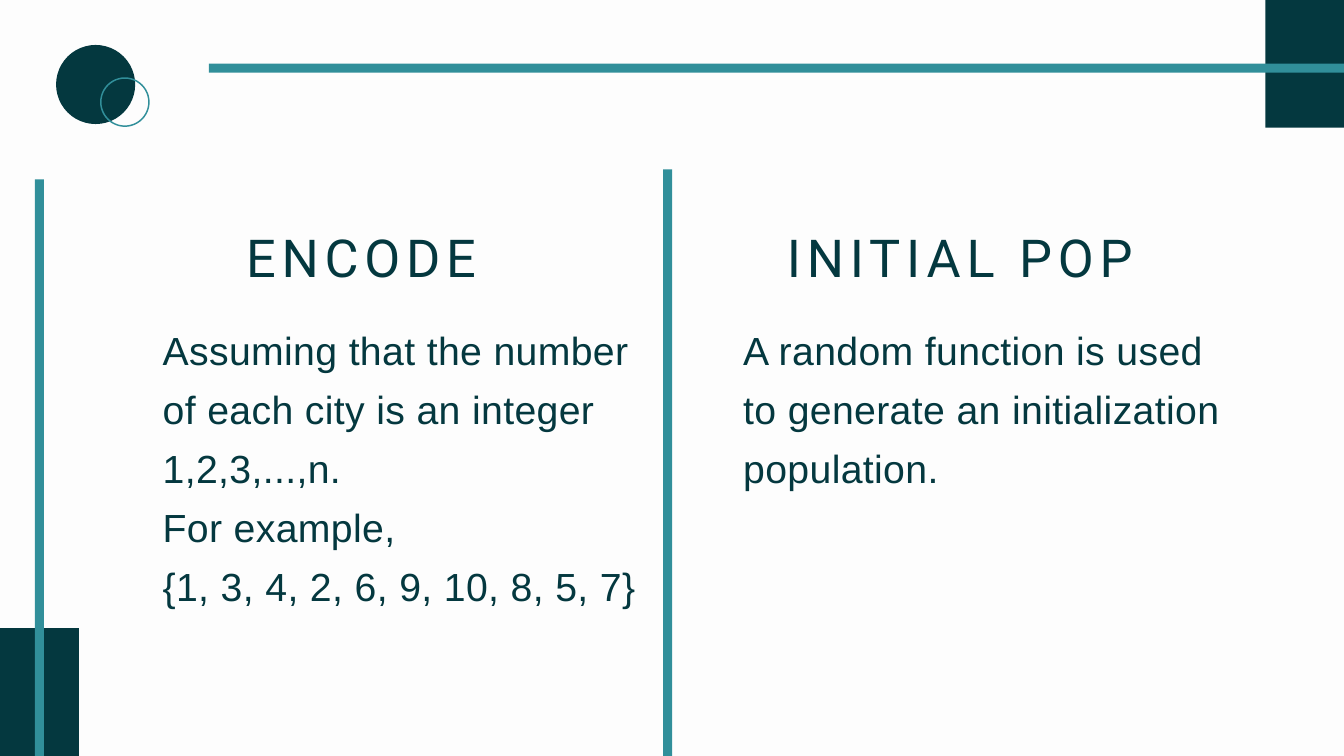
from pptx import Presentation
from pptx.dml.color import RGBColor
from pptx.enum.shapes import MSO_SHAPE
from pptx.enum.text import MSO_AUTO_SIZE, PP_ALIGN
from pptx.util import Cm, Pt

COLORS = {"paper": "FDFDFD", "dark": "04383F", "teal": "318F9A"}
BAR = 0.34
TITLE = {
    "paragraph": {"alignment": PP_ALIGN.CENTER, "line_spacing": Pt(78.4)},
    "font": {"name": "Roboto", "size": Pt(56)},
    "spacing": 620,
}
BODY = {
    "paragraph": {"alignment": PP_ALIGN.LEFT, "line_spacing": Pt(63)},
    "font": {"name": "Arial", "size": Pt(42)},
    "spacing": 40,
}


def rgb(name):
    return RGBColor.from_string(COLORS[name])


def apply(target, values):
    for name, value in values.items():
        setattr(target, name, value)


def add_solid(s, kind, box, color):
    sp = s.shapes.add_shape(kind, *map(Cm, box))
    sp.shadow.inherit = False
    sp.fill.solid()
    sp.fill.fore_color.rgb = rgb(color)
    sp.line.fill.background()
    return sp


def add_ring(s, box, color):
    sp = add_solid(s, MSO_SHAPE.OVAL, box, color)
    sp.fill.background()
    sp.line.color.rgb = rgb(color)
    sp.line.width = Pt(1.6)


def add_text(s, box, lines, style):
    tf = s.shapes.add_textbox(*map(Cm, box)).text_frame
    apply(tf, {"word_wrap": True, "auto_size": MSO_AUTO_SIZE.SHAPE_TO_FIT_TEXT,
               "margin_left": 0, "margin_top": 0, "margin_right": 0, "margin_bottom": 0})
    for i, line in enumerate(lines):
        p = tf.paragraphs[0] if i == 0 else tf.add_paragraph()
        apply(p, style["paragraph"])
        r = p.add_run()
        r.text = line
        apply(r.font, style["font"])
        r.font.color.rgb = rgb("dark")
        r.font._element.set("spc", str(style["spacing"]))


def main():
    prs = Presentation()
    prs.slide_width, prs.slide_height = Cm(50.8), Cm(28.58)
    s = prs.slides.add_slide(prs.slide_layouts[6])
    s.background.fill.solid()
    s.background.fill.fore_color.rgb = rgb("paper")

    for box, color in (
        ((47.83, -0.58, 3.61, 5.41), "dark"),
        ((7.9, 2.41, 43.79, BAR), "teal"),
        ((-0.58, 23.75, 3.56, 5.51), "dark"),
        ((1.32, 6.78, BAR, 22.86), "teal"),
        ((25.07, 6.4, BAR, 22.86), "teal"),
    ):
        add_solid(s, MSO_SHAPE.RECTANGLE, box, color)

    add_solid(s, MSO_SHAPE.OVAL, (2.12, 1.7, 2.99, 2.99), "dark")
    add_ring(s, (3.81, 2.95, 1.82, 1.82), "teal")

    add_text(s, (6.83, 8.13, 13.64, 2.64), ["ENCODE"], TITLE)
    add_text(s, (26.19, 8.13, 20.9, 2.64), ["INITIAL POP "], TITLE)
    add_text(s, (6.15, 11.91, 18.11, 11.05), [
        "Assuming that the number of each city is an integer 1,2,3,...,n.",
        "For example,",
        "{1, 3, 4, 2, 6, 9, 10, 8, 5, 7}",
    ], BODY)
    add_text(s, (28.09, 11.91, 18.11, 6.6), [
        "A random function is used to generate an initialization population.",
    ], BODY)

    prs.save("out.pptx")


if __name__ == "__main__":
    main()
